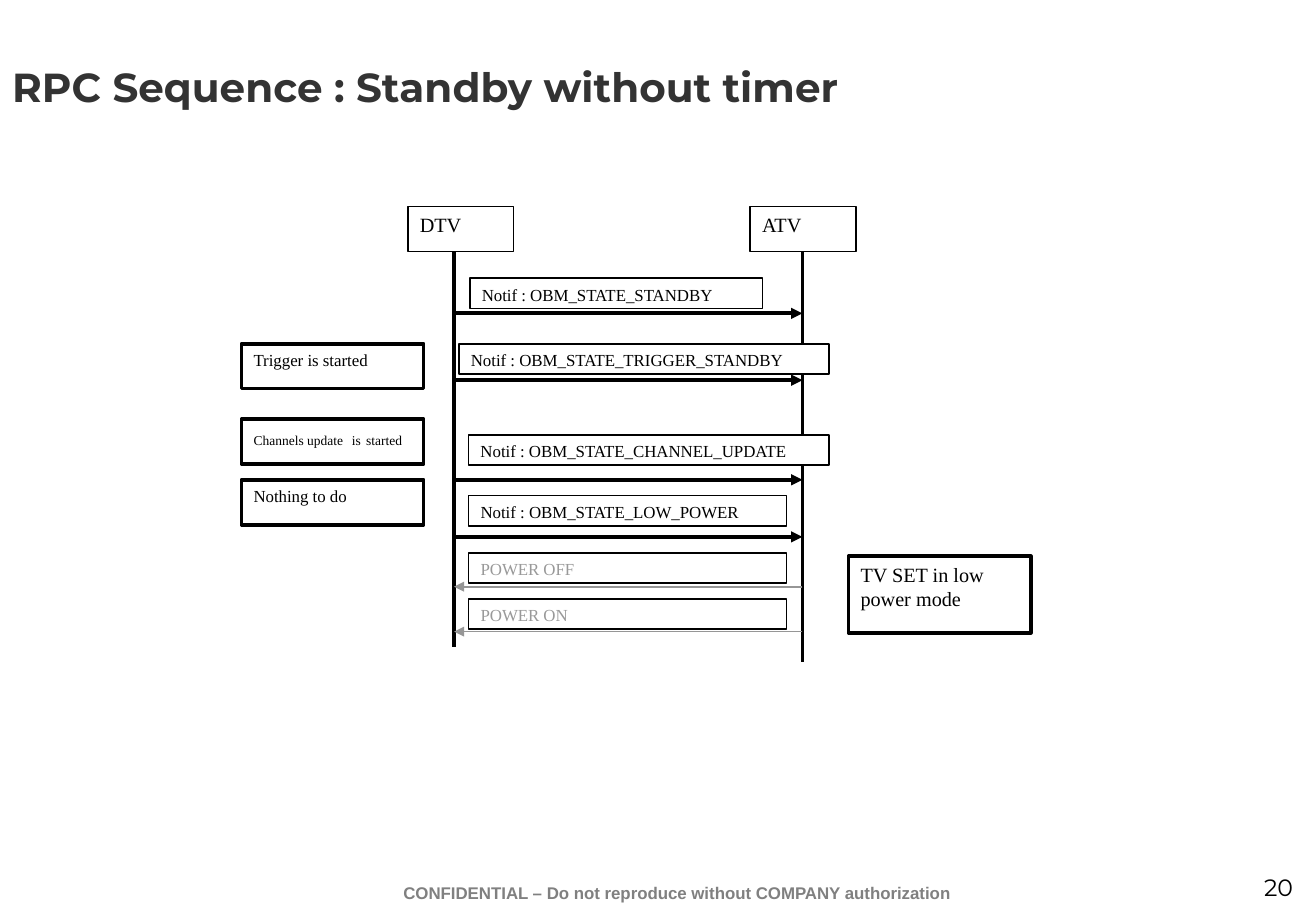
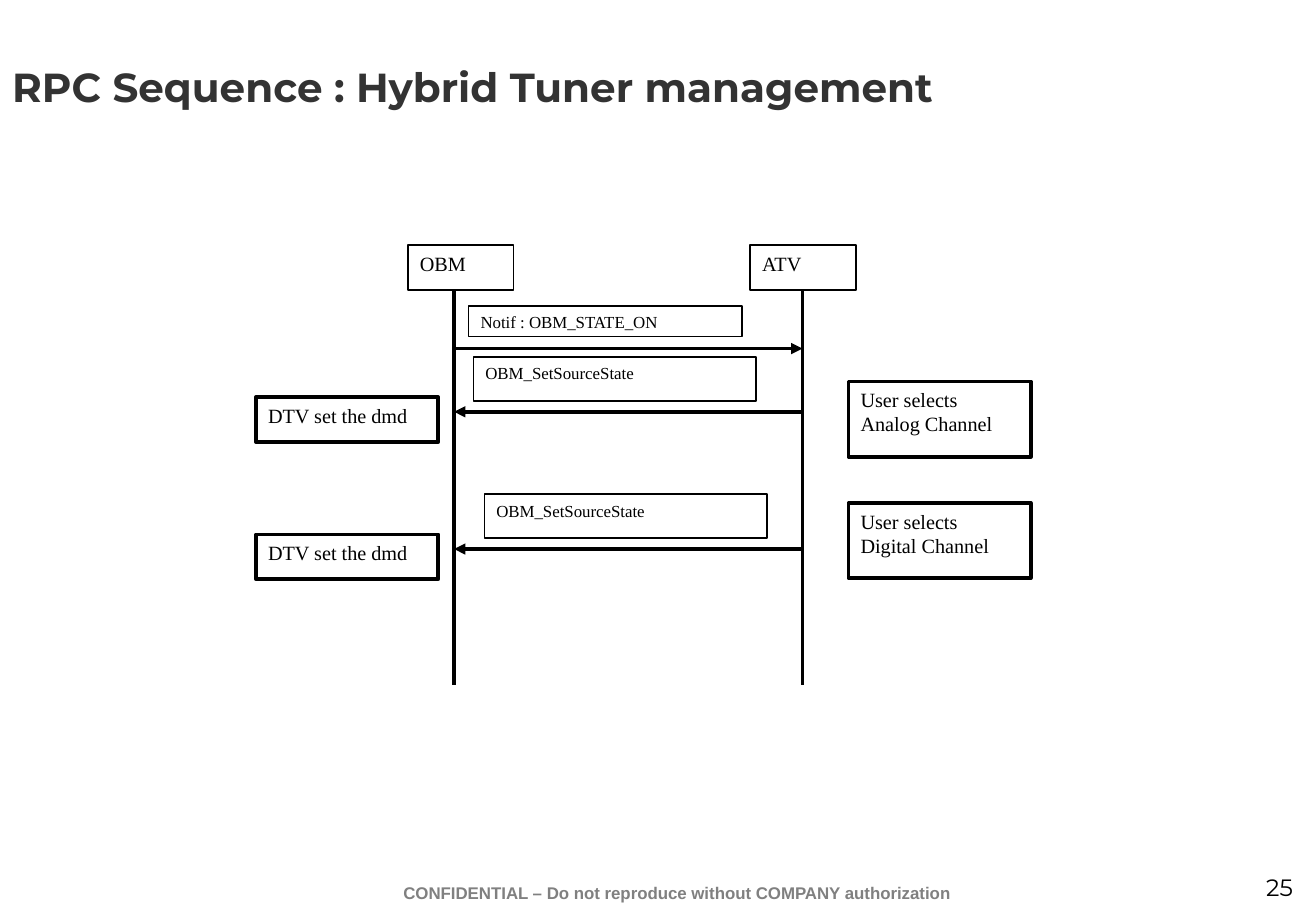
from lxml.etree import SubElement as Sub
from pptx import Presentation as Deck
from pptx.dml.color import RGBColor as RGB
from pptx.enum.shapes import MSO_CONNECTOR as LINK, MSO_SHAPE as FORM
from pptx.enum.text import MSO_ANCHOR as ANCHOR, PP_ALIGN as ALIGN
from pptx.oxml.ns import qn
from pptx.util import Emu, Pt

PX = 9144  # 100 px to the inch
HUES = {"black": "000000", "white": "FFFFFF", "title": "333333",
        "foot": "808080", "dim": "999999", "wire": "969696"}
HEAD, BODY, FOOT = "Montserrat", "Times New Roman", "Arial"
THIN, THICK = 1, 2.25
LEFT, RIGHT = 374, 661  # the two lifelines
ROW, SIDE = 37, 150     # height of a header, width of a note


def hue(name):
    return RGB.from_string(HUES[name])


def px(*nums):
    return [Emu(n * PX) for n in nums]


class Page:
    def __init__(self, deck, title, num):
        self.slide = deck.slides.add_slide(deck.slide_layouts[5])
        self.shapes = self.slide.shapes
        self.label(str(num), (959, 714, 116, 33), HEAD, 14, "black", ALIGN.RIGHT)
        self.label("CONFIDENTIAL – Do not reproduce without COMPANY authorization",
                   (266, 722, 583, 28), FOOT, 10, "foot", ALIGN.CENTER, True)
        self.title(title)

    def style(self, frame, font, size, tone, align=ALIGN.LEFT, bold=False):
        frame.word_wrap = True
        for par in frame.paragraphs:
            par.alignment = align
            for run in par.runs:
                run.font.name, run.font.size = font, Pt(size)
                run.font.bold = bold
                run.font.color.rgb = hue(tone)

    def title(self, text):
        head = self.shapes.title
        head.left, head.top, head.width, head.height = px(0, 0, 1083, 142)
        head.text_frame.text = text
        head.text_frame.vertical_anchor = ANCHOR.MIDDLE
        self.style(head.text_frame, HEAD, 24, "title", bold=True)

    def label(self, text, area, *look):
        frame = self.shapes.add_textbox(*px(*area)).text_frame
        frame.text = text
        self.style(frame, *look)

    def box(self, text, area, size, edge=THIN, tone="black"):
        rect = self.shapes.add_shape(FORM.RECTANGLE, *px(*area))
        rect.shadow.inherit = False
        rect.fill.solid()
        rect.fill.fore_color.rgb = hue("white")
        rect.line.color.rgb = hue("black")
        rect.line.width = Pt(edge)
        frame = rect.text_frame
        frame.text = text
        frame.vertical_anchor = ANCHOR.TOP
        self.style(frame, BODY, size, tone)
        return frame

    def line(self, ends, tone="black", width=THICK, arrow=False):
        wire = self.shapes.add_connector(LINK.STRAIGHT, *px(*ends))
        wire.line.color.rgb = hue(tone)
        wire.line.width = Pt(width)
        if arrow:
            Sub(wire.line._ln, qn("a:tailEnd"), type="triangle")
        Sub(wire._element.spPr, qn("a:effectLst"))

    def actors(self, top, names, ends):
        for x, end in zip((LEFT, RIGHT), ends):
            self.line((x, top + ROW, x, end))
        for x, name in zip((336, 618), names):
            self.box(name, (x, top, 87, ROW), 12)

    def call(self, text, area, y, back=False, dim=False):
        """Message box with its arrow at y, leftward if back."""
        ends = (RIGHT, y, LEFT, y) if back else (LEFT, y, RIGHT, y)
        look = ("wire", THIN) if dim else ("black", THICK)
        self.line(ends, *look, arrow=True)
        self.box(text, area, 10, tone="dim" if dim else "black")

    def note(self, text, x, y, size=12, high=ROW):
        return self.box(text, (x, y, SIDE, high), size, THICK)

    def mix(self, frame, parts):
        """Fill the frame with runs of (text, size)."""
        par = frame.paragraphs[0]
        for text, size in parts:
            run = par.add_run()
            run.text = text
            run.font.name, run.font.size = BODY, Pt(size)
            run.font.color.rgb = hue("black")


def standby(deck):
    page = Page(deck, "RPC Sequence : Standby without timer", 20)
    page.actors(170, ("DTV", "ATV"), (533, 545))
    for state, x, y, wide, at in (("STANDBY", 387, 229, 241, 258),
                                  ("TRIGGER_STANDBY", 378, 283, 305, 313),
                                  ("CHANNEL_UPDATE", 386, 358, 297, 395),
                                  ("LOW_POWER", 386, 408, 262, 442)):
        page.call(f"Notif : OBM_STATE_{state}", (x, y, wide, 25), at)
    for text, y, at in (("POWER OFF", 455, 483), ("POWER ON", 493, 520)):
        page.call(text, (386, y, 262, 25), at, back=True, dim=True)
    page.note("TV SET in low power mode", 699, 458, high=63)
    page.note("Trigger is started", 199, 283, 10)
    page.mix(page.note("", 199, 345),
             (("Channels update", 8), (" ", 12), (" is", 8), (" ", 12), ("started", 8)))
    page.note("Nothing to do", 199, 395, 10)


def tuner(deck):
    page = Page(deck, "RPC Sequence : Hybrid Tuner management", 25)
    page.actors(202, ("OBM", "ATV"), (564, 564))
    page.call("Notif : OBM_STATE_ON", (386, 252, 225, 25), 287)
    for kind, x, y, at, user in (("Analog", 390, 294, 339, 314),
                                 ("Digital", 399, 407, 452, 414)):
        page.call("OBM_SetSourceState", (x, y, 233, 36), at, back=True)
        page.note("DTV set the dmd", 211, at - 12)
        page.note(f"User selects\n{kind} Channel", 699, user, high=62)


def main():
    deck = Deck()
    deck.slide_width, deck.slide_height = px(1084, 750)
    standby(deck)
    tuner(deck)
    deck.save("out.pptx")


if __name__ == "__main__":
    main()
